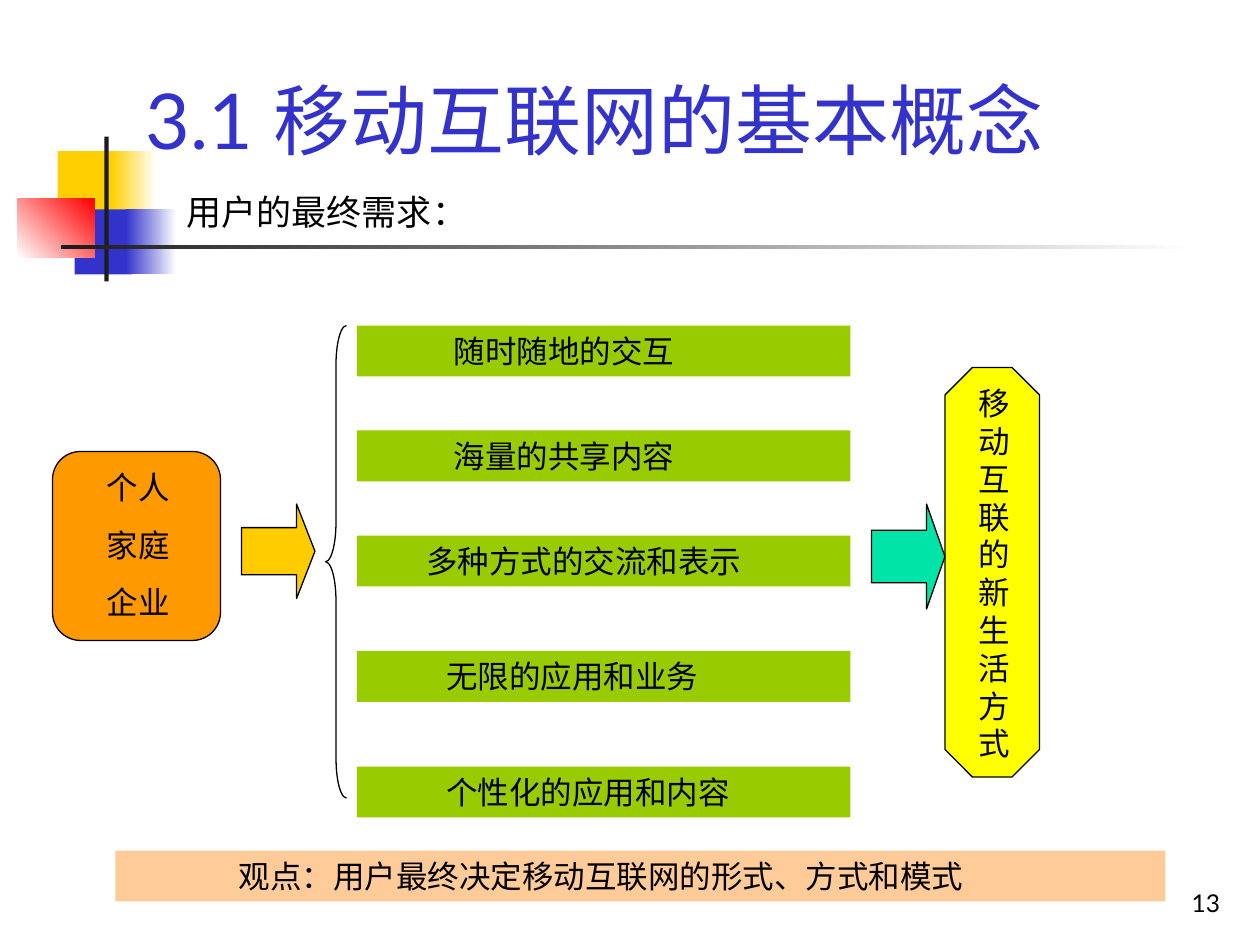
from pptx import Presentation, util as u
from pptx.dml.color import RGBColor
from pptx.enum import shapes, text

GOLD = RGBColor(0xFF, 0xCF, 0x01)
BLUE = RGBColor(0x33, 0x33, 0xCC)
RED = RGBColor(0xFF, 0x00, 0x00)
CHARCOAL = RGBColor(0x1C, 0x1C, 0x1C)
BLACK = RGBColor(0x00, 0x00, 0x00)
WHITE = RGBColor(0xFF, 0xFF, 0xFF)
GREEN = RGBColor(0x99, 0xCC, 0x00)
AMBER = RGBColor(0xFF, 0xCC, 0x00)
ORANGE = RGBColor(0xFF, 0x99, 0x00)
PEACH = RGBColor(0xFF, 0xCC, 0x99)
YELLOW = RGBColor(0xFF, 0xFF, 0x00)
MINT = RGBColor(0x00, 0xE4, 0xA8)
PRESET = shapes.MSO_SHAPE

presentation = Presentation()
presentation.slide_width, presentation.slide_height = u.Inches(10), u.Inches(7.5)
slide = presentation.slides.add_slide(presentation.slide_layouts[5])
CELL = presentation.slide_width / 120  # the grid has 120 columns and 90 rows


def add_shape(preset, box, fill=None, outlined=False, fade_to=None, angle=0):
    """Add a shape at (column, row, columns, rows), solid or fading to a second colour."""
    shape = slide.shapes.add_shape(preset, *(round(n * CELL) for n in box))
    shape.shadow.inherit = False
    if fade_to is not None:
        shape.fill.gradient()
        shape.fill.gradient_angle = angle
        for stop, color in zip(shape.fill.gradient_stops, (fill, fade_to)):
            stop.color.rgb = color
    elif fill is not None:
        shape.fill.solid()
        shape.fill.fore_color.rgb = fill
    else:
        shape.fill.background()
    if outlined:
        shape.line.color.rgb = BLACK
        shape.line.width = u.Pt(0.75)
    else:
        shape.line.fill.background()
    return shape


def write(shape, lines, size=18, font="Arial", color=BLACK, indent=0.1,
          align=text.PP_ALIGN.LEFT, anchor=text.MSO_ANCHOR.TOP):
    frame = shape.text_frame
    frame.word_wrap = True
    frame.vertical_anchor = anchor
    frame.margin_left = u.Inches(indent)
    frame.text = "\n".join(lines)
    for index, paragraph in enumerate(frame.paragraphs):
        paragraph.alignment = align
        paragraph.font.size = u.Pt(size)
        paragraph.font.name = font
        paragraph.font.color.rgb = color
        if index:
            paragraph.space_before = u.Pt(11.2)


# Corner ornament and title rule
for box, fill, fade_to, angle in [
    ((5.5, 14.4, 5.8, 6.2), GOLD, None, 0),
    ((10.6, 14.4, 4.3, 6.2), GOLD, WHITE, 0),
    ((7.1, 19.95, 5.5, 6.2), BLUE, None, 0),
    ((12, 19.95, 4.8, 6.2), BLUE, WHITE, 0),
    ((1.65, 18.95, 7.35, 5.55), WHITE, RED, 45),
    ((9.95, 13, 0.4, 13.8), CHARCOAL, None, 0),
    ((5.8, 23.35, 108, 0.4), CHARCOAL, WHITE, 0),
]:
    add_shape(PRESET.RECTANGLE, box, fill, fade_to=fade_to, angle=angle)

# Title and subtitle
title = slide.shapes.title
title.left, title.top, title.width, title.height = (
    round(n * CELL) for n in (12.7, 3.4, 102.2, 12.9))
write(title, ["3.1 移动互联网的基本概念"], 44, "Lato", BLUE,
      anchor=text.MSO_ANCHOR.BOTTOM)
subtitle = add_shape(PRESET.RECTANGLE, (16.6, 17.6, 35, 5.3))
write(subtitle, ["用户的最终需求："], 20)

# Needs and the closing viewpoint
for column, row, columns, fill, indent, label in [
    (34, 31, 47, GREEN, 0.77, "随时随地的交互"),
    (34, 41, 47, GREEN, 0.77, "海量的共享内容"),
    (34, 51, 47, GREEN, 0.55, "多种方式的交流和表示"),
    (34, 62, 47, GREEN, 0.71, "无限的应用和业务"),
    (34, 73, 47, GREEN, 0.71, "个性化的应用和内容"),
    (11, 81, 100, PEACH, 0.98, "观点：用户最终决定移动互联网的形式、方式和模式"),
]:
    bar = add_shape(PRESET.RECTANGLE, (column, row, columns, 4.85), fill)
    write(bar, [label], indent=indent)

# Flow from users through needs to the new lifestyle
add_shape(PRESET.FLOWCHART_ALTERNATE_PROCESS, (5, 43, 16, 18), ORANGE, outlined=True)
users = add_shape(PRESET.RECTANGLE, (9, 44, 9, 15.8))
write(users, ["个人", "家庭", "企业"])

brace = add_shape(PRESET.LEFT_BRACE, (31, 31, 2, 45), outlined=True)
brace.adjustments[0] = 1.88

octagon = add_shape(PRESET.OCTAGON, (90, 35, 9, 39), YELLOW, outlined=True)
octagon.adjustments[0] = 0.29
lifestyle = add_shape(PRESET.RECTANGLE, (92, 36, 7, 37.2))
write(lifestyle, ["移动互联的新生活方式"])

for box, fill in [((23, 48, 7, 9), AMBER), ((83, 48, 7, 10), MINT)]:
    arrow = add_shape(PRESET.RIGHT_ARROW, box, fill, outlined=True)
    arrow.adjustments[1] = 0.25

page_number = add_shape(PRESET.RECTANGLE, (92.4, 82, 25, 6))
write(page_number, ["13"], 14, "Lato", align=text.PP_ALIGN.RIGHT,
      anchor=text.MSO_ANCHOR.BOTTOM)

presentation.save("out.pptx")
